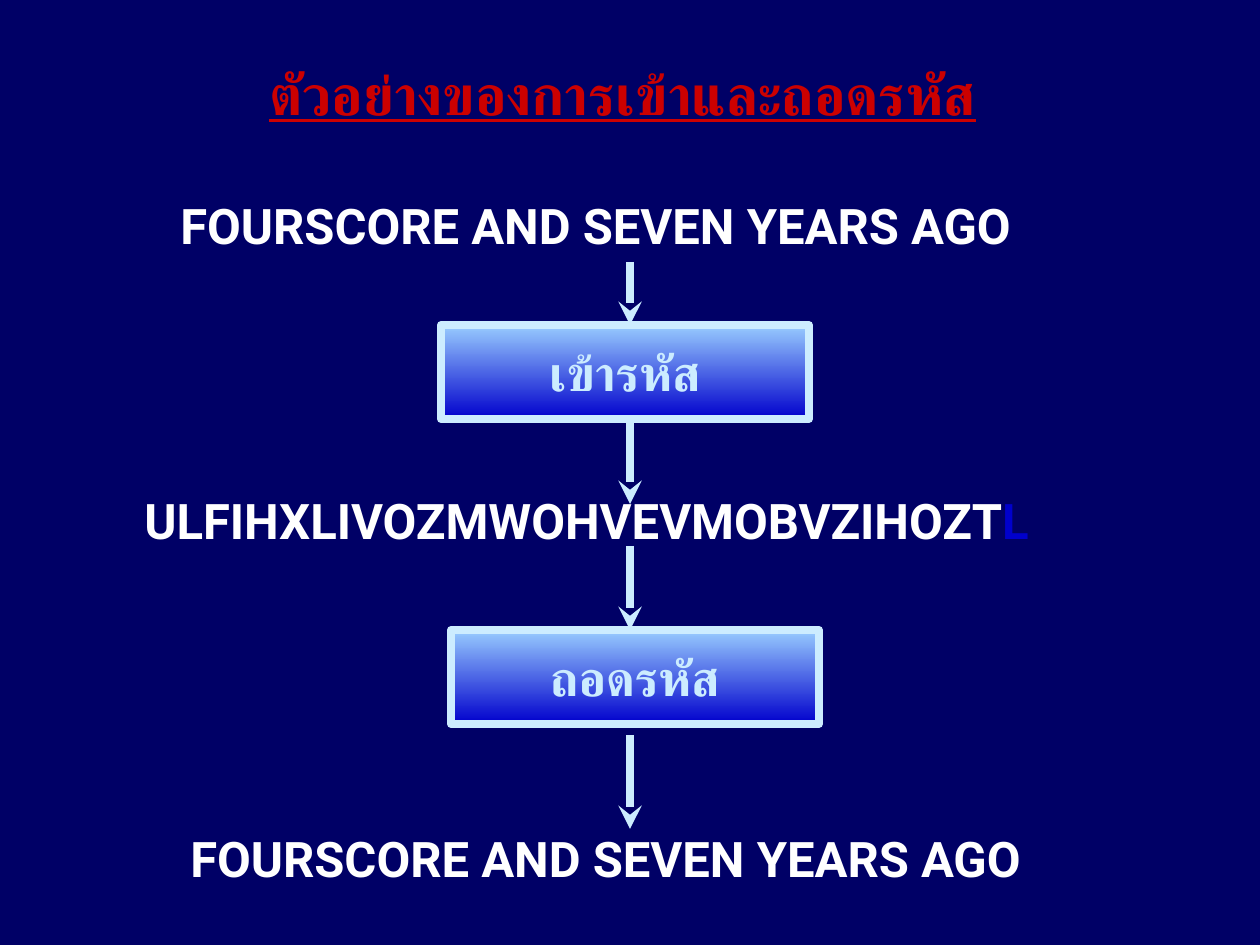
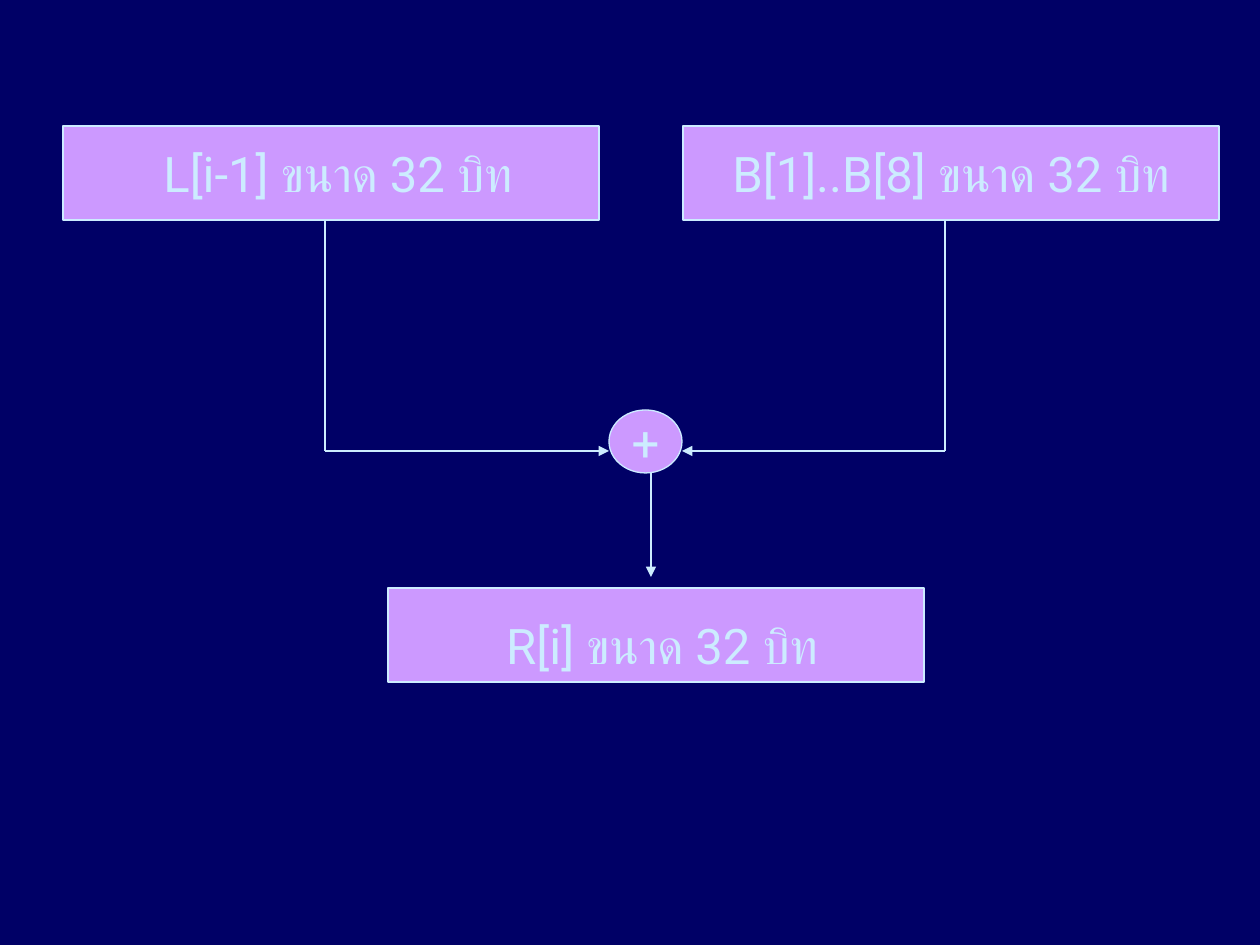
from pptx import Presentation
from pptx.dml.color import RGBColor
from pptx.enum.shapes import MSO_CONNECTOR, MSO_SHAPE
from pptx.enum.text import MSO_ANCHOR, PP_ALIGN
from pptx.oxml.ns import qn
from pptx.util import Emu, Pt
from lxml.etree import SubElement

NAVY = RGBColor(0x00, 0x00, 0x66)
RED = RGBColor(0xCC, 0x00, 0x00)
WHITE = RGBColor(0xFF, 0xFF, 0xFF)
BLUE = RGBColor(0x00, 0x00, 0xCC)
SKY = RGBColor(0x99, 0xCC, 0xFF)
ICE = RGBColor(0xCC, 0xEC, 0xFF)
LILAC = RGBColor(0xCC, 0x99, 0xFF)

FONT = "Roboto"
EMU_PER_PX = 914400 / 126
PAGE_WIDTH, PAGE_HEIGHT = 1260, 945
TEXT_HEIGHT = 72
THICK, THIN = 4.5, 0.75

TITLE = ("ตัวอย่างของการเข้าและถอดรหัส", (257, 53, 732, 81))
PLAIN_TEXT = "FOURSCORE AND SEVEN YEARS AGO"
MESSAGES = [
    ([(PLAIN_TEXT, WHITE)], 168, 189, 940),
    ([("ULFIHXLIVOZMWOHVEVMOBVZIHOZT", WHITE), ("L", BLUE)], 132, 484, 1033),
    ([(PLAIN_TEXT, WHITE)], 178, 822, 940),
]
STEP_SIZE = (368, 94)
STEPS = [("เข้ารหัส", 441, 325), ("ถอดรหัส", 451, 630)]
FLOW_X = 630
FLOW_ARROWS = [(262, 325), (420, 504), (546, 630), (735, 829)]

BLOCK_SIZE = (536, 94)
BLOCKS = [(63, 126), (683, 126), (388, 588)]
BLOCK_LABELS = [
    ("L[i-1] ขนาด 32 บิท", (151, 137, 399, TEXT_HEIGHT), PP_ALIGN.LEFT),
    ("R[i] ขนาด 32 บิท", (489, 609, 346, TEXT_HEIGHT), PP_ALIGN.CENTER),
]
RIGHT_LABEL = "B[1]..B[8] ขนาด 32 บิท"
ADDER = (609, 410, 73, 63)
INPUT_TOP, INPUT_LEVEL = 220, 451
INPUTS = [(325, ADDER[0]), (945, ADDER[0] + ADDER[2])]
OUTPUT_ARROW = (651, 472, 651, 577)


def px(*lengths):
    return [Emu(round(length * EMU_PER_PX)) for length in lengths]


def write(shape, text, color=ICE, size=28, bold=False, underline=False,
          align=PP_ALIGN.LEFT, anchor=MSO_ANCHOR.TOP):
    frame = shape.text_frame
    frame.word_wrap = False
    frame.vertical_anchor = anchor
    para = frame.paragraphs[0]
    para.alignment = align
    for words, shade in [(text, color)] if isinstance(text, str) else text:
        span = para.add_run()
        span.text = words
        span.font.name = FONT
        span.font.size = Pt(size)
        span.font.bold = bold
        span.font.underline = underline
        span.font.color.rgb = shade
        SubElement(span.font._element, qn("a:cs"), typeface=FONT)


def add_text(page, text, place, **style):
    write(page.shapes.add_textbox(*px(*place)), text, **style)


def add_box(page, kind, place, width):
    box = page.shapes.add_shape(kind, *px(*place))
    box.shadow.inherit = False
    box.fill.solid()
    box.fill.fore_color.rgb = LILAC
    box.line.color.rgb = ICE
    box.line.width = Pt(width)
    return box


def add_line(page, ends, width, head=None):
    line = page.shapes.add_connector(MSO_CONNECTOR.STRAIGHT, *px(*ends))
    line.line.color.rgb = ICE
    line.line.width = Pt(width)
    if head:
        SubElement(line.line._get_or_add_ln(), qn("a:tailEnd"), type=head)
    SubElement(line._element.spPr, qn("a:effectLst"))


def add_page(deck):
    page = deck.slides.add_slide(deck.slide_layouts[6])
    page.background.fill.solid()
    page.background.fill.fore_color.rgb = NAVY
    return page


def build_cipher_example(deck):
    page = add_page(deck)
    title, place = TITLE
    add_text(page, title, place, color=RED, size=32, bold=True, underline=True)
    for label, left, top in STEPS:
        box = add_box(page, MSO_SHAPE.RECTANGLE, (left, top, *STEP_SIZE), THICK)
        box.fill.gradient()
        box.fill.gradient_angle = 270
        for stop, color, position in zip(box.fill.gradient_stops, (SKY, BLUE), (0, 1)):
            stop.color.rgb = color
            stop.position = position
        write(box, label, bold=True, align=PP_ALIGN.CENTER, anchor=MSO_ANCHOR.MIDDLE)
    for text, left, top, width in MESSAGES:
        add_text(page, text, (left, top, width, TEXT_HEIGHT), bold=True)
    for start, end in FLOW_ARROWS:
        add_line(page, (FLOW_X, start, FLOW_X, end), THICK, "stealth")


def build_adder_diagram(deck):
    page = add_page(deck)
    centred = {"align": PP_ALIGN.CENTER, "anchor": MSO_ANCHOR.MIDDLE}
    left_box, right_box, result_box = [
        add_box(page, MSO_SHAPE.RECTANGLE, (*corner, *BLOCK_SIZE), THIN)
        for corner in BLOCKS
    ]
    write(right_box, RIGHT_LABEL, **centred)
    for text, place, align in BLOCK_LABELS:
        add_text(page, text, place, align=align)
    write(add_box(page, MSO_SHAPE.OVAL, ADDER, THIN), "+", **centred)
    for x, adder_edge in INPUTS:
        add_line(page, (x, INPUT_TOP, x, INPUT_LEVEL), THIN)
        add_line(page, (x, INPUT_LEVEL, adder_edge, INPUT_LEVEL), THIN, "triangle")
    add_line(page, OUTPUT_ARROW, THIN, "triangle")


def main():
    deck = Presentation()
    deck.slide_width, deck.slide_height = px(PAGE_WIDTH, PAGE_HEIGHT)
    build_cipher_example(deck)
    build_adder_diagram(deck)
    deck.save("out.pptx")


if __name__ == "__main__":
    main()
